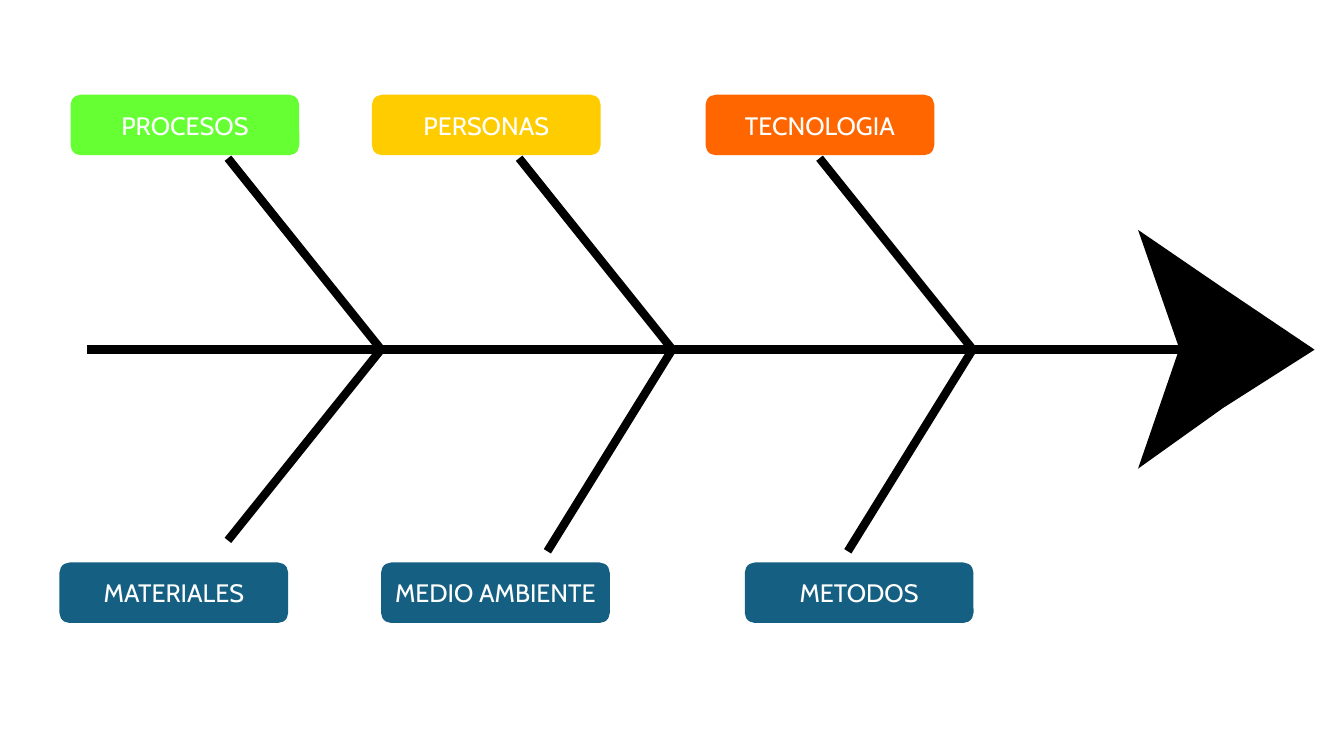
"""Build a fishbone (cause and effect) diagram slide."""
from dataclasses import dataclass

from lxml import etree
from pptx import Presentation
from pptx import util as u
from pptx.dml.color import RGBColor
from pptx.enum import shapes, text
from pptx.oxml.ns import qn

BLACK = RGBColor(0x00, 0x00, 0x00)
WHITE = RGBColor(0xFF, 0xFF, 0xFF)
GREEN = RGBColor(0x66, 0xFF, 0x33)
YELLOW = RGBColor(0xFF, 0xCC, 0x00)
ORANGE = RGBColor(0xFF, 0x66, 0x00)
BLUE = RGBColor(0x15, 0x60, 0x82)

FONT = "Cabin"
SPINE_Y = 249.6
SPINE_LEFT, SPINE_RIGHT = 62, 848
LABEL_WIDTH, LABEL_HEIGHT = 163.4, 43.2
TOP_LABEL_Y, BOTTOM_LABEL_Y = 67.7, 401.8
TOP_TIP_Y = 113
HEAD_POINTS = [(812.9, 164.2), (874, 206), (939, 249.8),
               (873.4, 291.6), (812.9, 334.8), (842.4, 249.1)]


@dataclass(frozen=True)
class Cause:
    """A labelled bone running from its tip to a joint on the spine."""
    label: str
    color: RGBColor
    label_left: float
    label_top: float
    tip_x: float
    tip_y: float
    joint_x: float


CAUSES = [
    Cause("PROCESOS", GREEN, 50.4, TOP_LABEL_Y, 162.8, TOP_TIP_Y, 272.2),
    Cause("PERSONAS", YELLOW, 265.7, TOP_LABEL_Y, 370.8, TOP_TIP_Y, 480.2),
    Cause("TECNOLOGIA", ORANGE, 504, TOP_LABEL_Y, 585.4, TOP_TIP_Y, 694.8),
    Cause("MATERIALES", BLUE, 42.5, BOTTOM_LABEL_Y, 162.8, 386, 272.2),
    Cause("MEDIO AMBIENTE", BLUE, 272.2, BOTTOM_LABEL_Y, 391, 393.8, 480.2),
    Cause("METODOS", BLUE, 532, BOTTOM_LABEL_Y, 605.6, 393.8, 694.8),
]


def add_bone(slide, x1: float, y1: float, x2: float, y2: float) -> None:
    """Draw a thick black line without shadow."""
    bone = slide.shapes.add_connector(
        shapes.MSO_CONNECTOR.STRAIGHT, u.Pt(x1), u.Pt(y1), u.Pt(x2), u.Pt(y2))
    bone.line.color.rgb = BLACK
    bone.line.width = u.Pt(6)
    etree.SubElement(bone._element.spPr, qn("a:effectLst"))


def add_head(slide) -> None:
    """Draw the fish head at the end of the spine."""
    points = [(u.Pt(x), u.Pt(y)) for x, y in HEAD_POINTS]
    builder = slide.shapes.build_freeform(*points[0])
    builder.add_line_segments(points[1:], close=True)
    head = builder.convert_to_shape()
    head.shadow.inherit = False
    head.fill.solid()
    head.fill.fore_color.rgb = BLACK
    head.line.fill.background()


def add_label(slide, cause: Cause) -> None:
    """Draw the rounded label of a cause."""
    shape = slide.shapes.add_shape(
        shapes.MSO_SHAPE.ROUNDED_RECTANGLE, u.Pt(cause.label_left),
        u.Pt(cause.label_top), u.Pt(LABEL_WIDTH), u.Pt(LABEL_HEIGHT))
    shape.shadow.inherit = False
    shape.fill.solid()
    shape.fill.fore_color.rgb = cause.color
    shape.line.fill.background()
    frame = shape.text_frame
    frame.word_wrap = True
    frame.vertical_anchor = text.MSO_ANCHOR.MIDDLE
    paragraph = frame.paragraphs[0]
    paragraph.alignment = text.PP_ALIGN.CENTER
    run = paragraph.add_run()
    run.text = cause.label
    run.font.name = FONT
    run.font.size = u.Pt(18)
    run.font.color.rgb = WHITE


def main() -> None:
    """Assemble the slide and save it."""
    presentation = Presentation()
    presentation.slide_width = u.Pt(960)
    presentation.slide_height = u.Pt(540)
    slide = presentation.slides.add_slide(presentation.slide_layouts[6])
    add_bone(slide, SPINE_LEFT, SPINE_Y, SPINE_RIGHT, SPINE_Y)
    add_head(slide)
    for cause in CAUSES:
        add_bone(slide, cause.tip_x, cause.tip_y, cause.joint_x, SPINE_Y)
    for cause in CAUSES:
        add_label(slide, cause)
    presentation.save("out.pptx")


if __name__ == "__main__":
    main()
